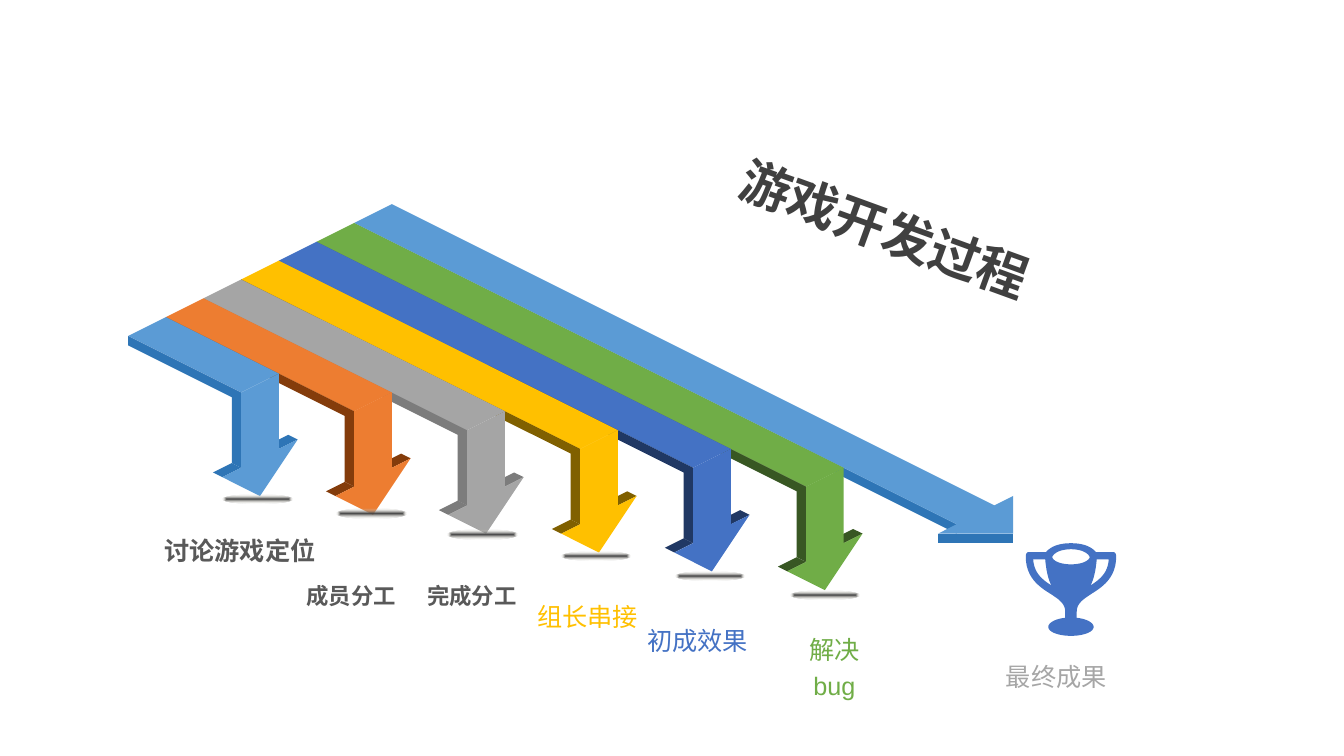
"""Builds a slide of isometric ribbon arrows showing the game development process."""
from lxml import etree
from pptx import Presentation
from pptx.dml.color import RGBColor
from pptx.enum.shapes import MSO_SHAPE
from pptx.enum.text import PP_ALIGN
from pptx.oxml import parse_xml
from pptx.oxml.ns import qn
from pptx.util import Pt

ELLIPSE, RECTANGLE = MSO_SHAPE.OVAL, MSO_SHAPE.RECTANGLE
CENTER, JUSTIFY = PP_ALIGN.CENTER, PP_ALIGN.JUSTIFY
SKY, SKY_DARK = RGBColor(0x5B, 0x9B, 0xD5), RGBColor(0x2E, 0x75, 0xB6)
ORANGE, ORANGE_DARK = RGBColor(0xED, 0x7D, 0x31), RGBColor(0x84, 0x3C, 0x0B)
GREY, GREY_DARK = RGBColor(0xA5, 0xA5, 0xA5), RGBColor(0x7C, 0x7C, 0x7C)
GOLD, GOLD_DARK = RGBColor(0xFF, 0xC0, 0x00), RGBColor(0x80, 0x60, 0x00)
BLUE, BLUE_DARK = RGBColor(0x44, 0x72, 0xC4), RGBColor(0x20, 0x38, 0x64)
GREEN, GREEN_DARK = RGBColor(0x70, 0xAD, 0x47), RGBColor(0x38, 0x57, 0x23)
TITLE_GREY = RGBColor(0x40, 0x40, 0x40)
LABEL_GREY = RGBColor(0x59, 0x59, 0x59)
RESULT_GREY = RGBColor(0xA6, 0xA6, 0xA6)
SANS, HEAVY = "Arial", "Noto Sans CJK SC"

UNIT = 13.45
ORIGIN_X, ORIGIN_Y = 91.6, 240
SHADOW_FILL = (
    '<a:gradFill xmlns:a="http://schemas.openxmlformats.org/drawingml/2006/main"><a:gsLst>'
    '<a:gs pos="0"><a:srgbClr val="404040"/></a:gs>'
    '<a:gs pos="100000"><a:srgbClr val="EEECE1"><a:alpha val="0"/></a:srgbClr></a:gs></a:gsLst>'
    '<a:path path="shape"><a:fillToRect l="50000" t="50000" r="50000" b="50000"/></a:path>'
    '</a:gradFill>')

deck = Presentation()
deck.slide_width, deck.slide_height = Pt(960), Pt(540)
page = deck.slides.add_slide(deck.slide_layouts[6])
ribbons = page.shapes.add_group_shape().shapes


def draw_outline(shapes, contours, color):
    contours = [[(Pt(x), Pt(y)) for x, y in contour] for contour in contours]
    builder = shapes.build_freeform(*contours[0][0])
    for index, contour in enumerate(contours):
        if index:
            builder.move_to(*contour[0])
        builder.add_line_segments(contour[1:], close=True)
    shape = builder.convert_to_shape()
    shape.shadow.inherit = False
    shape.fill.solid()
    shape.fill.fore_color.rgb = color
    shape.line.fill.background()


def trace(start, segments):
    points = [start]
    for segment in segments:
        if len(segment) == 1:
            points.append(segment[0])
            continue
        corners = (points[-1], *segment)
        for step in range(1, 13):
            t = step / 12
            weights = ((1 - t) ** 3, 3 * t * (1 - t) ** 2, 3 * t * t * (1 - t), t ** 3)
            points.append(tuple(sum(w * p[axis] for w, p in zip(weights, corners))
                                for axis in (0, 1)))
    return points


main_arrow = [
    (SKY_DARK, [(12, -6), (12, -5.5), (44, 10.5), (44, 10)]),
    (SKY_DARK, [(43, 10.5), (47, 10.5), (47, 11), (43, 11)]),
    (SKY, [(14, -7), (46, 9), (47, 8.5), (47, 10.5), (43, 10.5), (44, 10), (12, -6)]),
]
left_flap = [(0, 4), (-0.5, 3.75), (-1.5, 4.25), (-1, 4.5)]
right_flap = [(3, 2.5), (2.5, 2.25), (1.5, 2.75), (2, 3)]
face = [(2, 3), (2, -1), (0, 0), (0, 4), (-1, 4.5), (1, 5.5), (3, 2.5)]
stage_colors = [(SKY, SKY_DARK), (ORANGE, ORANGE_DARK), (GREY, GREY_DARK),
                (GOLD, GOLD_DARK), (BLUE, BLUE_DARK), (GREEN, GREEN_DARK)]

pieces = list(main_arrow)
for stage, (light, dark) in reversed(list(enumerate(stage_colors))):
    start_x, start_y = 2 * stage, -stage
    bend_x, bend_y = 6 + 6 * stage, 3 + stage
    pieces.append((light, [(bend_x, bend_y), (start_x, start_y),
                           (start_x + 2, start_y - 1), (bend_x + 2, bend_y - 1)]))
    pieces.append((dark, [(start_x, start_y), (start_x, start_y + 0.5),
                          (bend_x - 0.5, bend_y + 0.25), (bend_x - 0.5, bend_y + 3.75),
                          (bend_x, bend_y + 4), (bend_x, bend_y)]))
    for color, part in ((dark, left_flap), (dark, right_flap), (light, face)):
        pieces.append((color, [(bend_x + x, bend_y + y) for x, y in part]))
for color, outline in pieces:
    draw_outline(ribbons, [[(ORIGIN_X + UNIT * x, ORIGIN_Y + UNIT * y) for x, y in outline]],
                 color)

for left, top in ((159, 353.5), (240.5, 363.6), (319.7, 378.7),
                  (401, 393.8), (482.4, 408.2), (564.5, 421.9)):
    shadow = ribbons.add_shape(ELLIPSE, Pt(left), Pt(top), Pt(49.7), Pt(6.5))
    shadow.shadow.inherit = False
    shadow.line.fill.background()
    shadow.element.spPr.find(qn("a:prstGeom")).addnext(parse_xml(SHADOW_FILL))

labels = [
    ("解决bug", 557, 445, 78, 33, 18, SANS, GREEN, CENTER),
    ("初成效果", 455, 438.5, 86.4, 33, 18, SANS, BLUE, CENTER),
    ("组长串接", 376.6, 422, 86.4, 33, 18, SANS, GOLD, CENTER),
    ("完成分工", 298, 408.2, 78.4, 30, 16, HEAVY, LABEL_GREY, CENTER),
    ("成员分工", 211.7, 408.2, 78.4, 30, 16, HEAVY, LABEL_GREY, CENTER),
    ("讨论游戏定位", 110.2, 374.4, 122.4, 57, 18, HEAVY, LABEL_GREY, CENTER),
    ("游戏开发过程", 518.4, 129.6, 230.4, 60, 36, HEAVY, TITLE_GREY, JUSTIFY),
    ("最终成果", 711.4, 464.4, 86.4, 33, 18, SANS, RESULT_GREY, JUSTIFY),
]
for text, left, top, width, height, size, font, color, align in labels:
    box = page.shapes.add_textbox(Pt(left), Pt(top), Pt(width), Pt(height))
    box.rotation = 20 if size == 36 else 0
    box.text_frame.word_wrap = text == "解决bug"
    para = box.text_frame.paragraphs[0]
    para.text = text
    para.alignment = align
    para.line_spacing = 1.2
    span = para.runs[0]
    span.font.size = Pt(size)
    span.font.name = font
    span.font.bold = font == HEAVY
    span.font.color.rgb = color
    etree.SubElement(span.font._element, qn("a:ea")).set("typeface", font)

cup_half = trace((0, 0), [
    [(10.6, 0), (15.5, 3.6), (17.8, 6.3)], [(30.1, 6.3)],
    [(31.5, 6.3), (32.3, 7.7), (32.3, 9.4)],
    [(32.3, 24.5), (22.9, 31), (14.9, 36)],
    [(8.3, 40.3), (4.1, 43.2), (4.1, 49)], [(4.1, 53.3)],
    [(11.2, 54), (16.2, 56.9), (16.2, 59.8)],
    [(16.2, 63.4), (9, 66.2), (0, 66.2)]])
rim_half = trace((0, 4.3), [
    [(9.7, 4.3), (13.3, 8.6), (13.3, 10)],
    [(13.3, 11.5), (9.7, 15.1), (0, 15.1)]])
handle = trace((14, 30.2), [
    [(16.2, 25.9), (17.6, 20.2), (18.4, 11.5)], [(27, 11.5)],
    [(26.3, 21.6), (20.5, 25.9), (14, 30.2)]])
trophy = [half + [(-x, y) for x, y in reversed(half)] for half in (cup_half, rim_half)]
trophy += [handle, [(-x, y) for x, y in handle]]
draw_outline(page.shapes, [[(765 + x, 388 + y) for x, y in contour] for contour in trophy], BLUE)

deck.save("out.pptx")
